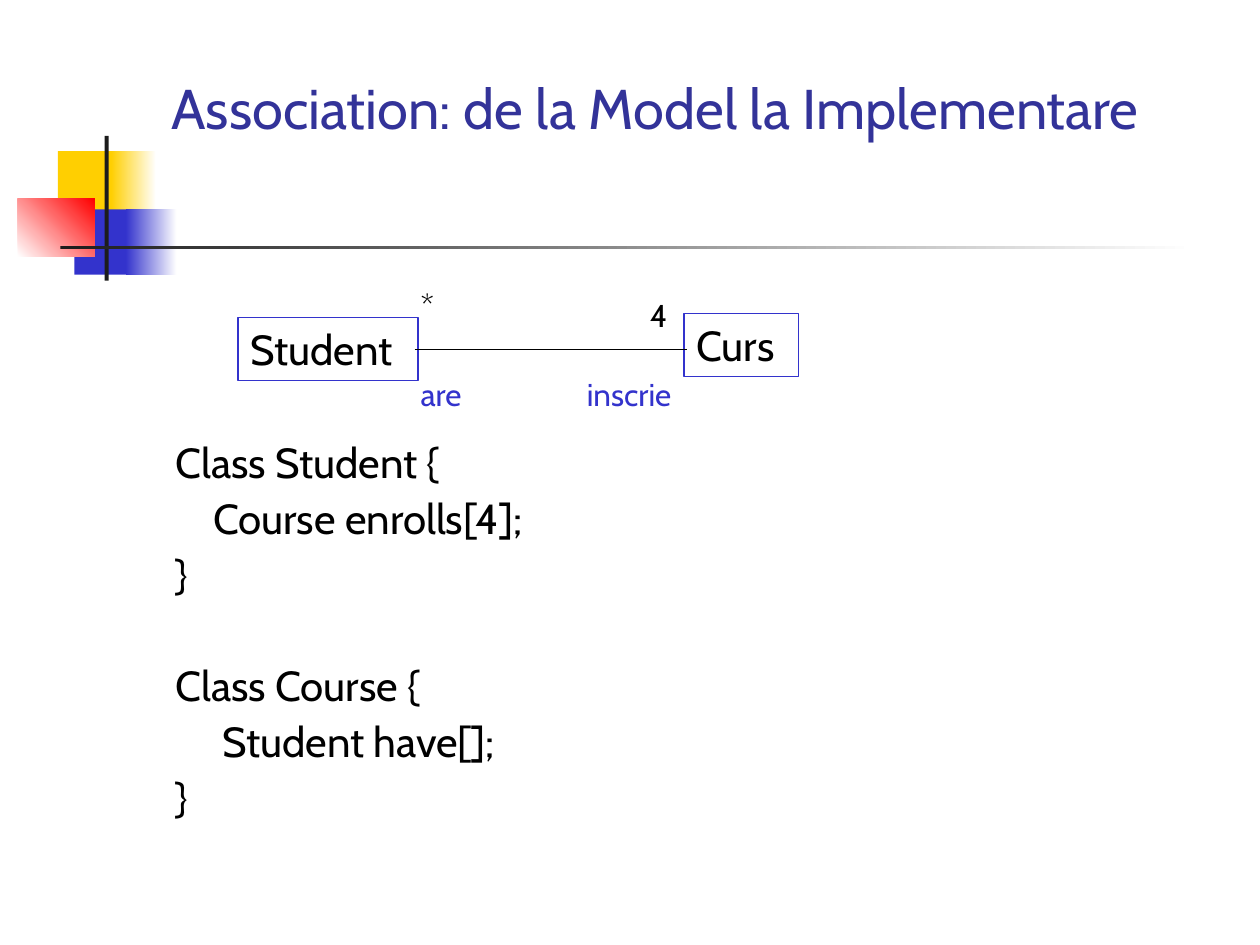
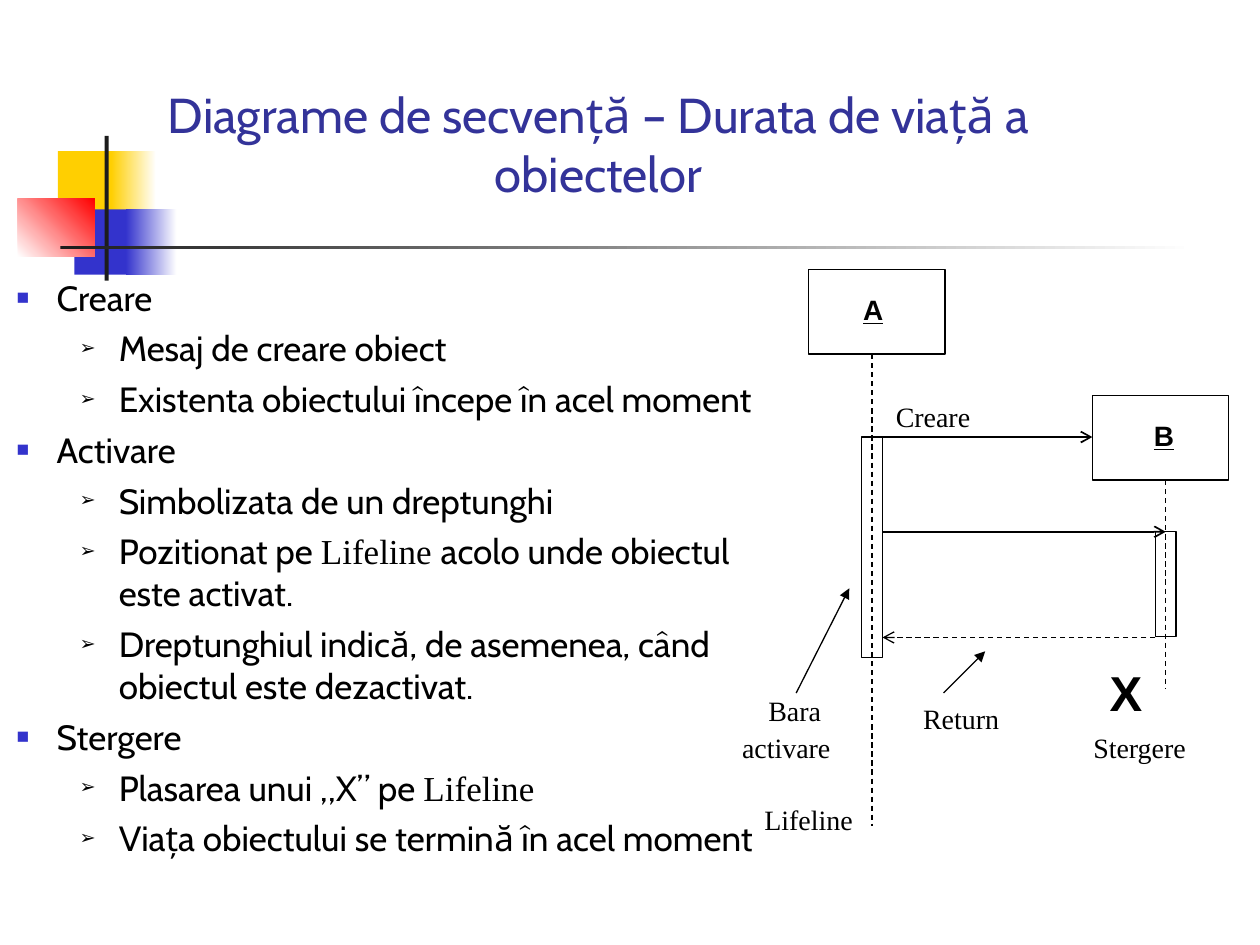
from lxml.etree import SubElement
from pptx import Presentation
from pptx.dml.color import RGBColor
from pptx.enum.dml import MSO_LINE
from pptx.enum.shapes import MSO_CONNECTOR, MSO_SHAPE
from pptx.enum.text import MSO_ANCHOR, MSO_AUTO_SIZE, PP_ALIGN
from pptx.oxml.ns import qn
from pptx.util import Cm, Pt

WHITE = RGBColor(255, 255, 255)
BLACK = RGBColor(0, 0, 0)
INK = RGBColor(0x1C, 0x1C, 0x1C)
NAVY = RGBColor(0x33, 0x33, 0x99)
BLUE = RGBColor(0x33, 0x33, 0xCC)
GOLD = RGBColor(0xFF, 0xCF, 0x01)
RED = RGBColor(255, 0, 0)
SANS, SERIF, BOLD = "Cabin", "Times New Roman", "Arial"

BAND = [
    ((1.17, 3.05, 1.22, 1.32), [GOLD], 0),
    ((2.24, 3.05, 0.91, 1.32), [GOLD, WHITE], 0),
    ((1.5, 4.22, 1.17, 1.32), [BLUE], 0),
    ((2.54, 4.22, 1.02, 1.32), [BLUE, WHITE], 0),
    ((0.36, 4.01, 1.55, 1.17), [WHITE, RED], 45),
    ((2.11, 2.74, 0.08, 2.92), [INK], 0),
    ((1.22, 4.95, 22.86, 0.08), [INK, WHITE], 0),
]

CODE = [
    ("Class Student {", 0),
    ("    Course enrolls[4];", 6),
    ("}", 6),
    ("Class Course {", 37.8),
    ("\tStudent have[];", 6),
    ("}", 6),
]
ENDS = [("Student", (4.8, 6.4, 3.63, 1.27)), ("Curs", (13.79, 6.32, 2.31, 1.27))]
ROLES = [
    ("inscrie", (11.58, 7.44, 2.44, 1.02), BLUE),
    ("are", (8.23, 7.44, 1.47, 1.02), BLUE),
    ("*", (8.23, 5.64, 0.79, 1.02), BLACK),
    ("4", (12.85, 5.84, 0.86, 1.02), BLACK),
]

STEPS = [
    ("Creare", [
        "Mesaj de creare obiect",
        "Existenta obiectului începe în acel moment"]),
    ("Activare", [
        "Simbolizata de un dreptunghi",
        "Pozitionat pe |Lifeline |acolo unde obiectul este activat.",
        "Dreptunghiul indică, de asemenea, când obiectul este dezactivat."]),
    ("Stergere", [
        "Plasarea unui „X” pe |Lifeline",
        "Viața obiectului se termină în acel moment"]),
]
MARKS = [("■", BLUE, 60, 0.81, -0.81), ("➢", BLACK, 55, 2.06, -0.79)]

A_X, B_X = 17.58, 23.5
BAR = 0.42
A_EDGE, B_EDGE = A_X + BAR / 2, B_X - BAR / 2
BOXES = [
    (16.3, 5.44, 2.75, 1.7),
    (22.02, 7.98, 2.75, 1.7),
    (A_X - BAR / 2, 8.81, BAR, 4.45),
    (B_EDGE, 10.72, BAR, 2.11),
]
LINES = [
    ((A_X, 7.14), (A_X, 16.66), 0.75, True, None),
    ((B_X, 9.68), (B_X, 13.89), 0.75, True, None),
    ((A_X, 8.81), (22.02, 8.81), 1, False, "arrow"),
    ((A_EDGE, 10.72), (B_X, 10.72), 1, False, "arrow"),
    ((B_EDGE, 12.85), (A_EDGE, 12.85), 0.75, True, "arrow"),
    ((19.02, 13.97), (19.86, 13.13), 0.75, False, "triangle"),
    ((16.05, 13.97), (17.12, 11.86), 0.75, False, "triangle"),
]
HEADS = [("A", (17.15, 5.77, 0.91, 0.94)), ("B", (23.01, 8.31, 0.91, 0.94))]
NOTES = [
    ("Creare", (17.81, 7.92, 3.61, 0.86)),
    ("Stergere", (21.79, 14.6, 2.39, 0.94)),
    ("Return", (18.36, 14.02, 2.03, 0.94)),
    ("Lifeline", (15.16, 16.05, 2.29, 0.94)),
]


def cms(spot):
    return [Cm(n) for n in spot]


def style(para, size, color, face=SANS, bold=False, line=False):
    for run in para.runs:
        font = run.font
        font.size, font.name, font.color.rgb = Pt(size), face, color
        font.bold, font.underline = bold, line


def rect(slide, spot, edge=None):
    shape = slide.shapes.add_shape(MSO_SHAPE.RECTANGLE, *cms(spot))
    shape.shadow.inherit = False
    shape.fill.background()
    if edge is None:
        shape.line.fill.background()
    else:
        shape.line.color.rgb = edge
        shape.line.width = Pt(1 if edge == BLUE else 0.75)
    return shape


def write(shape, text, *look, **more):
    frame = shape.text_frame
    frame.text = text
    frame.word_wrap = True
    frame.margin_right = 0
    frame.vertical_anchor = MSO_ANCHOR.TOP
    para = frame.paragraphs[0]
    para.alignment = PP_ALIGN.LEFT
    style(para, *look, **more)
    return para


def label(slide, text, spot, *look, **more):
    return write(slide.shapes.add_textbox(*cms(spot)), text, *look, **more)


def link(slide, start, end, width=0.75, dash=False, tip=None):
    wire = slide.shapes.add_connector(MSO_CONNECTOR.STRAIGHT, *cms(start + end))
    wire.line.color.rgb = BLACK
    wire.line.width = Pt(width)
    if dash:
        wire.line.dash_style = MSO_LINE.DASH
    props = wire.element.spPr
    if tip:
        SubElement(props.get_or_add_ln(), qn("a:tailEnd"), type=tip)
    SubElement(props, qn("a:effectLst"))


def margin(para, left, first):
    props = para._p.get_or_add_pPr()
    props.set("marL", str(Cm(left)))
    props.set("indent", str(Cm(first)))
    return props


def bullet(para, sign, color, size, left, first):
    props = margin(para, left, first)
    SubElement(SubElement(props, qn("a:buClr")), qn("a:srgbClr"), val=str(color))
    SubElement(props, qn("a:buSzPct"), val=str(size * 1000))
    SubElement(props, qn("a:buChar"), char=sign)


def place(shape, spot, anchor):
    shape.left, shape.top, shape.width, shape.height = cms(spot)
    frame = shape.text_frame
    frame.auto_size = MSO_AUTO_SIZE.NONE
    frame.word_wrap = True
    frame.vertical_anchor = anchor
    return frame


def start(deck, title, spot, size, align, anchor, area):
    slide = deck.slides.add_slide(deck.slide_layouts[1])
    head = place(slide.shapes.title, spot, anchor)
    head.text = title
    head.paragraphs[0].alignment = align
    style(head.paragraphs[0], size, NAVY)
    return slide, place(slide.placeholders[1], area, MSO_ANCHOR.TOP)


def add(frame, index):
    return frame.add_paragraph() if index else frame.paragraphs[0]


def band(deck, slide):
    for spot, tints, angle in BAND:
        shape = rect(slide, spot)
        if len(tints) == 1:
            shape.fill.solid()
            shape.fill.fore_color.rgb = tints[0]
        else:
            shape.fill.gradient()
            shape.fill.gradient_angle = angle
            for stop, tint in zip(shape.fill.gradient_stops, tints):
                stop.color.rgb = tint
        deck.slide_master.shapes.element.append(shape.element)


def model(deck):
    slide, body = start(
        deck, "Association: de la Model la Implementare", (3.2, 0.58, 21.64, 3.15),
        32, PP_ALIGN.LEFT, MSO_ANCHOR.MIDDLE, (3.28, 8.79, 21.39, 8.26))
    band(deck, slide)
    for index, (text, gap) in enumerate(CODE):
        para = add(body, index)
        para.text = text
        SubElement(margin(para, 0.95, -0.95), qn("a:buNone"))
        para.line_spacing = 0.9
        para.space_before = Pt(gap)
        style(para, 24, BLACK)
    for text, spot in ENDS:
        write(rect(slide, spot, BLUE), text, 24, BLACK)
    link(slide, (8.36, 7.04), (13.84, 7.04))
    for text, spot, color in ROLES:
        label(slide, text, spot, 18, color)


def life(deck):
    slide, body = start(
        deck, "Diagrame de secvență – Durata de viață a obiectelor",
        (1.24, 0.15, 21.64, 4.06), 28, PP_ALIGN.CENTER, MSO_ANCHOR.BOTTOM,
        (0.08, 5.44, 15.37, 13.97))
    rows = [(level, text) for head, subs in STEPS
            for level, text in [(0, head)] + [(1, sub) for sub in subs]]
    for index, (level, text) in enumerate(rows):
        para = add(body, index)
        para.level = level
        bullet(para, *MARKS[level])
        para.space_before = Pt(5 if index else 0)
        for part in text.split("|"):
            para.add_run().text = part
        style(para, 20, BLACK)
        for run in para.runs[1::2]:
            run.font.name = SERIF
    for spot in BOXES:
        rect(slide, spot, BLACK)
    for line in LINES:
        link(slide, *line)
    for text, spot in HEADS:
        label(slide, text, spot, 16, BLACK, BOLD, bold=True, line=True)
    label(slide, "X", (22.12, 13.23, 2.77, 1.32), 28, BLACK, BOLD, bold=True)
    for text, spot in NOTES:
        label(slide, text, spot, 16, BLACK, SERIF)
    para = label(slide, "Bara activare", (14.71, 13.8, 3.1, 1.63), 16, BLACK, SERIF)
    margin(para, 0, 0.53)
    para.line_spacing = 1.09


def main():
    deck = Presentation()
    deck.slide_width, deck.slide_height = Cm(25.4), Cm(19.05)
    model(deck)
    life(deck)
    deck.save("out.pptx")


if __name__ == "__main__":
    main()
